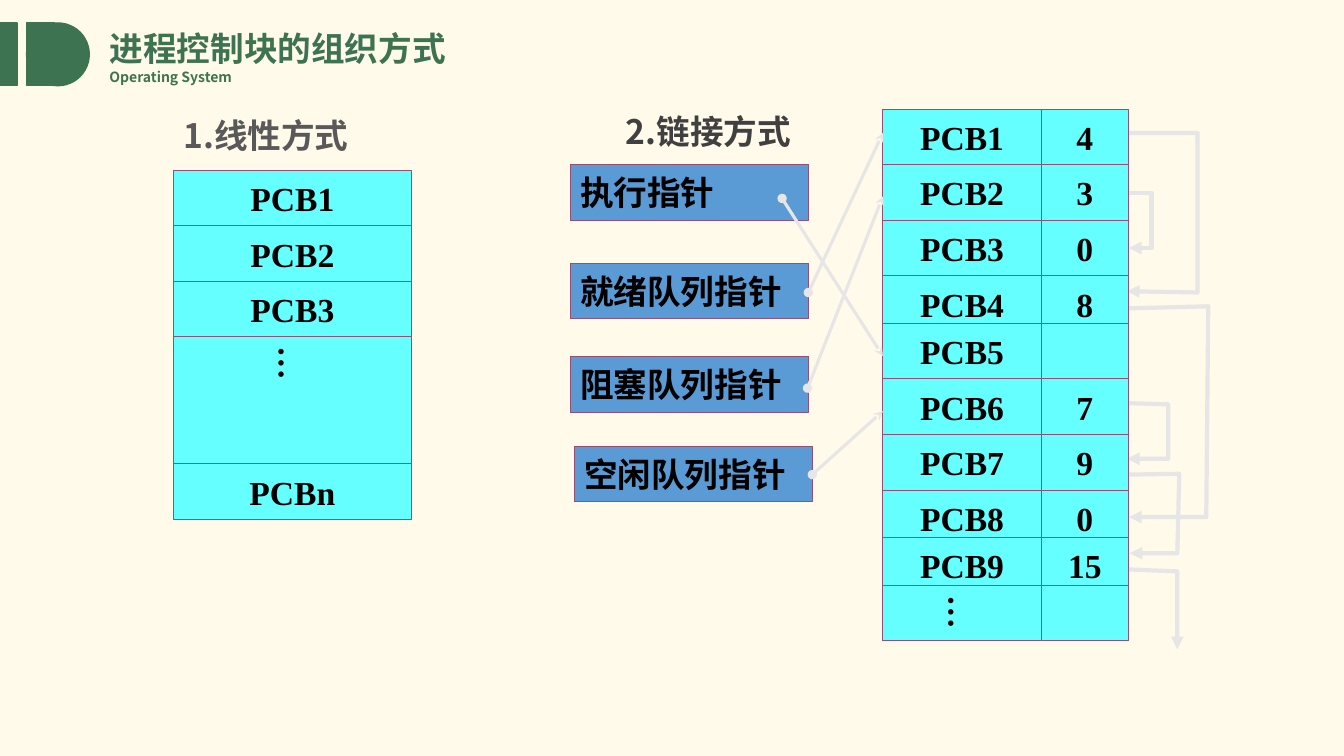
"""Builds the slide on how process control blocks are organised."""
from lxml import etree
from pptx import Presentation
from pptx import util as u
from pptx.dml.color import RGBColor
from pptx.enum import shapes, text
from pptx.oxml.ns import qn

THEME = {
    "paper": RGBColor.from_string("FFFAEA"),
    "green": RGBColor.from_string("3D7351"),
    "cell": RGBColor.from_string("66FFFF"),
    "pointer": RGBColor.from_string("5B9BD5"),
    "border": RGBColor.from_string("954F72"),
    "link": RGBColor.from_string("E7E6E6"),
    "ink": RGBColor.from_string("000000"),
    "linear": RGBColor.from_string("595959"),
    "linked": RGBColor.from_string("404040"),
    "cjk": "Noto Sans CJK SC",
    "heading": {"name": "Noto Sans CJK SC", "size": u.Pt(24), "bold": True},
    "subtitle": {"name": "Noto Sans CJK SC", "size": u.Pt(10), "bold": True},
    "label": {"name": "Times New Roman", "size": u.Pt(24), "bold": True},
}
LEFT, CENTER = text.PP_ALIGN.LEFT, text.PP_ALIGN.CENTER


def write(frame, caption, style, colour, frame_format, align=LEFT):
    for name, value in frame_format.items():
        setattr(frame, name, value)
    line = frame.paragraphs[0]
    line.alignment = align
    run = line.add_run()
    run.text = caption
    run.font.color.rgb = THEME[colour]
    for name, value in THEME[style].items():
        setattr(run.font, name, value)
    etree.SubElement(run.font._element, qn("a:ea"), typeface=THEME["cjk"])


def draw_arrow(arrow, width, ends):
    arrow.line.color.rgb = THEME["link"]
    arrow.line.width = u.Pt(width)
    outline = arrow.line._get_or_add_ln()
    for end, kind in ends.items():
        etree.SubElement(outline, qn(f"a:{end}"), type=kind)
    etree.SubElement(arrow._element.spPr, qn("a:effectLst"))


deck = Presentation()
deck.slide_width, deck.slide_height = u.Cm(33.87), u.Cm(19.05)
slide = deck.slides.add_slide(deck.slide_layouts[5])
slide.background.fill.solid()
slide.background.fill.fore_color.rgb = THEME["paper"]
canvas = slide.shapes

heading_frame = {
    "word_wrap": False,
    "auto_size": text.MSO_AUTO_SIZE.SHAPE_TO_FIT_TEXT,
    "vertical_anchor": text.MSO_ANCHOR.TOP,
}
title = canvas.title
title.left, title.top, title.width, title.height = map(u.Cm, (2.51, 0.58, 9.07, 1.28))
write(title.text_frame, "进程控制块的组织方式", "heading", "green", heading_frame)
for caption, style, colour, *place in (
    ("Operating System", "subtitle", "green", 2.51, 1.6, 3.73, 0.68),
    ("1.线性方式", "heading", "linear", 4.37, 2.77, 4.95, 1.28),
    ("2.链接方式", "heading", "linked", 15.52, 2.67, 4.95, 1.28),
):
    heading = canvas.add_textbox(*map(u.Cm, place))
    write(heading.text_frame, caption, style, colour, heading_frame)

for outline, left, width in (
    (shapes.MSO_SHAPE.RECTANGLE, 0, 0.43),
    (shapes.MSO_SHAPE.RECTANGLE, 0.67, 0.7),
    (shapes.MSO_SHAPE.OVAL, 0.67, 1.58),
):
    emblem = canvas.add_shape(outline, *map(u.Cm, (left, 0.58, width, 1.58)))
    emblem.shadow.inherit = False
    emblem.fill.solid()
    emblem.fill.fore_color.rgb = emblem.line.color.rgb = THEME["green"]
    emblem.line.width = u.Pt(1)

next_links = (
    ((28.45, 4.86), (29.02, 4.86), (29.02, 6.25), (28.45, 6.25)),
    ((28.45, 3.35), (30.18, 3.35), (30.18, 7.37), (28.4, 7.34)),
    ((28.45, 7.77), (30.45, 7.72), (30.4, 13.03), (28.45, 13.03)),
    ((28.42, 10.16), (29.44, 10.19), (29.44, 11.56), (28.4, 11.56)),
    ((28.45, 11.96), (29.72, 11.94), (29.67, 13.94), (28.47, 13.94)),
    ((28.45, 14.35), (29.67, 14.4), (29.67, 16.36)),
)
for stops in next_links:
    start, *rest = [(u.Cm(x), u.Cm(y)) for x, y in stops]
    route = canvas.build_freeform(*start)
    route.add_line_segments(rest, close=False)
    next_link = route.convert_to_shape()
    next_link.fill.background()
    draw_arrow(next_link, 3, {"tailEnd": "triangle"})

ROW = 1.4
boxes = []
top = 4.29
for caption, height in (("PCB1", ROW), ("PCB2", ROW), ("PCB3", ROW), ("…", 3.2), ("PCBn", ROW)):
    boxes.append((caption, "cell", CENTER, 4.37, top, 6, height))
    top += height

for caption, left, top in (
    ("执行指针", 14.37, 4.15),
    ("就绪队列指针", 14.37, 6.63),
    ("阻塞队列指针", 14.37, 8.99),
    ("空闲队列指针", 14.47, 11.25),
):
    boxes.append((caption, "pointer", LEFT, left, top, 6, ROW))

top = 2.75
for number, successor in enumerate(("4", "3", "0", "8", "", "7", "9", "0", "15", ""), 1):
    name, align = (f"PCB{number}", CENTER) if number < 10 else ("…", LEFT)
    boxes.append((name, "cell", align, 22.25, top, 3.99, ROW))
    boxes.append((successor, "cell", CENTER, 26.24, top, 2.2, ROW))
    top += 1.2 if number in (4, 8, 9) else ROW

label_frame = {"word_wrap": False, "vertical_anchor": text.MSO_ANCHOR.MIDDLE}
for caption, colour, align, *place in boxes:
    box = canvas.add_shape(shapes.MSO_SHAPE.RECTANGLE, *map(u.Cm, place))
    box.shadow.inherit = False
    box.fill.solid()
    box.fill.fore_color.rgb = THEME[colour]
    box.line.color.rgb = THEME["border"]
    box.line.width = u.Pt(0.75)
    if caption:
        write(box.text_frame, caption, "label", "ink", label_frame, align)
    if caption == "…":
        box.text_frame._txBody.bodyPr.set("vert", "eaVert")

for ends in (
    (19.71, 5, 22.25, 8.97),
    (20.37, 7.37, 22.25, 3.35),
    (20.35, 9.78, 22.25, 4.95),
    (20.47, 11.96, 22.25, 10.36),
):
    queue_head = canvas.add_connector(shapes.MSO_CONNECTOR.STRAIGHT, *map(u.Cm, ends))
    draw_arrow(queue_head, 2.25, {"headEnd": "oval", "tailEnd": "stealth"})

deck.save("out.pptx")
